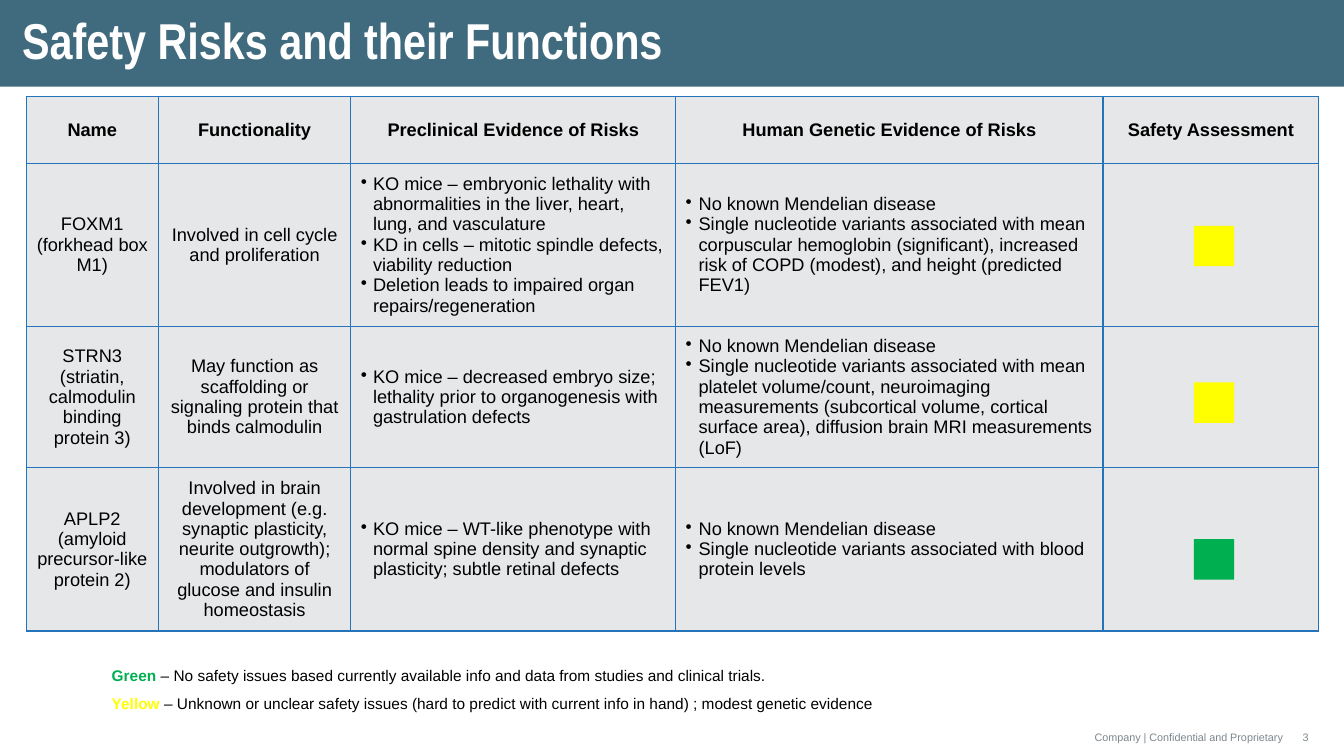
"""Build the slide on safety risks and their functions."""
import pptx
import pptx.dml.color
import pptx.enum.shapes
import pptx.enum.text
import pptx.oxml
import pptx.oxml.ns
import pptx.util
from pptx.util import Inches

TITLE = "Safety Risks and their Functions"
HEADERS = ["Name", "Functionality", "Preclinical Evidence of Risks",
           "Human Genetic Evidence of Risks", "Safety Assessment"]
RISKS = [
    (["FOXM1", "(forkhead box M1)"],
     ["Involved in cell cycle and proliferation"],
     ["KO mice – embryonic lethality with abnormalities in the liver, heart, lung, and vasculature",
      "KD in cells – mitotic spindle defects, viability reduction",
      "Deletion leads to impaired organ repairs/regeneration"],
     ["No known Mendelian disease",
      "Single nucleotide variants associated with mean corpuscular hemoglobin (significant), "
      "increased risk of COPD (modest), and height (predicted FEV1)"]),
    (["STRN3", "(striatin, calmodulin binding protein 3)"],
     ["May function as scaffolding or signaling protein that binds calmodulin"],
     ["KO mice – decreased embryo size; lethality prior to organogenesis with gastrulation defects"],
     ["No known Mendelian disease",
      "Single nucleotide variants associated with mean platelet volume/count, neuroimaging "
      "measurements (subcortical volume, cortical surface area), diffusion brain MRI "
      "measurements (LoF)"]),
    (["APLP2", "(amyloid precursor-like protein 2)"],
     ["Involved in brain development (e.g. synaptic plasticity, neurite outgrowth); "
      "modulators of glucose and insulin homeostasis"],
     ["KO mice – WT-like phenotype with normal spine density and synaptic plasticity; "
      "subtle retinal defects"],
     ["No known Mendelian disease",
      "Single nucleotide variants associated with blood protein levels"]),
]
GREEN, YELLOW, BLACK, WHITE = "00B050", "FFFF00", "000000", "FFFFFF"
BAR, CELL, BORDER, GREY = "013952", "E5E7E8", "2573BA", "7C878E"
RATINGS = [YELLOW, YELLOW, GREEN]
LEGEND = [
    ("Green ", GREEN,
     "– No safety issues based currently available info and data from studies and clinical trials."),
    ("Yellow ", YELLOW,
     "– Unknown or unclear safety issues (hard to predict with current info in hand) ; "
     "modest genetic evidence"),
]
FOOTERS = [("Company | Confidential and Proprietary", 8.6, 4.22, "RIGHT"),
           ("3", 12.82, 0.51, "LEFT")]
COLUMN_WIDTHS = [1.31, 1.91, 3.22, 4.24, 2.14]
ROW_HEIGHTS = [0.66, 1.51, 1.37, 1.51]
BULLET_INDENTS = {2: 0.12, 3: 0.13}
MARKER_TOP, MARKER_STEP, MARKER_SIZE = 2.24, 1.555, 0.4
ALIGN = pptx.enum.text.PP_ALIGN
ANCHOR = pptx.enum.text.MSO_ANCHOR


def color(value):
    return pptx.dml.color.RGBColor.from_string(value)


def add_span(para, text, size, hue, bold=False, face="Arial"):
    span = para.add_run()
    span.text = text
    span.font.size = pptx.util.Pt(size)
    span.font.name = face
    span.font.bold = bold
    span.font.color.rgb = color(hue)
    return span


def paragraphs(frame, count):
    return [frame.paragraphs[0]] + [frame.add_paragraph() for _ in range(count - 1)]


def set_bullet(para, indent):
    settings = para._p.get_or_add_pPr()
    settings.set("marL", str(Inches(indent)))
    settings.set("indent", str(-Inches(indent)))
    settings.append(pptx.oxml.parse_xml(
        f'<a:buChar {pptx.oxml.ns.nsdecls("a")} char="•"/>'))


def set_borders(cell):
    settings = cell._tc.get_or_add_tcPr()
    for position, side in enumerate(("lnL", "lnR", "lnT", "lnB")):
        settings.insert(position, pptx.oxml.parse_xml(
            f'<a:{side} {pptx.oxml.ns.nsdecls("a")} w="12700"><a:solidFill>'
            f'<a:srgbClr val="{BORDER}"/></a:solidFill></a:{side}>'))


def fill_cell(cell, lines, bold, indent):
    cell.fill.solid()
    cell.fill.fore_color.rgb = color(CELL)
    cell.vertical_anchor = ANCHOR.MIDDLE
    set_borders(cell)
    for para, line in zip(paragraphs(cell.text_frame, len(lines)), lines):
        add_span(para, line, 13, BLACK, bold)
        if indent:
            set_bullet(para, indent)
        else:
            para.alignment = ALIGN.CENTER


def add_title(page):
    title = page.shapes.title
    title.left, title.top, title.width, title.height = 0, 0, Inches(13.33), Inches(0.86)
    title.fill.solid()
    title.fill.fore_color.rgb = color(BAR)
    shade = title._element.spPr.find(".//" + pptx.oxml.ns.qn("a:srgbClr"))
    shade.append(pptx.oxml.parse_xml(f'<a:alpha {pptx.oxml.ns.nsdecls("a")} val="75000"/>'))
    frame = title.text_frame
    frame.auto_size = pptx.enum.text.MSO_AUTO_SIZE.NONE
    frame.vertical_anchor = ANCHOR.MIDDLE
    frame.margin_left = frame.margin_top = frame.margin_bottom = Inches(0.05)
    para = frame.paragraphs[0]
    para.alignment = ALIGN.LEFT
    para.line_spacing = 0.9
    para._p.get_or_add_pPr().set("marL", str(Inches(0.17)))
    add_span(para, TITLE, 36, WHITE, True, "Arial Narrow")


def add_risk_table(page):
    table = page.shapes.add_table(
        len(ROW_HEIGHTS), len(COLUMN_WIDTHS), Inches(0.26), Inches(0.96),
        Inches(sum(COLUMN_WIDTHS)), Inches(sum(ROW_HEIGHTS))).table
    for column, width in zip(table.columns, COLUMN_WIDTHS):
        column.width = Inches(width)
    for row, height in zip(table.rows, ROW_HEIGHTS):
        row.height = Inches(height)
    rows = [[[header] for header in HEADERS]] + [[*risk, []] for risk in RISKS]
    for r, row in enumerate(rows):
        for c, lines in enumerate(row):
            indent = BULLET_INDENTS.get(c) if r else None
            fill_cell(table.cell(r, c), lines, r == 0, indent)


def add_markers(page):
    for index, rating in enumerate(RATINGS):
        marker = page.shapes.add_shape(
            pptx.enum.shapes.MSO_SHAPE.RECTANGLE, Inches(11.84),
            Inches(MARKER_TOP + index * MARKER_STEP), Inches(MARKER_SIZE), Inches(MARKER_SIZE))
        marker.shadow.inherit = False
        marker.fill.solid()
        marker.fill.fore_color.rgb = color(rating)
        marker.line.fill.background()


def add_box(page, left, top, width, height):
    frame = page.shapes.add_textbox(
        Inches(left), Inches(top), Inches(width), Inches(height)).text_frame
    frame.word_wrap = True
    return frame


def add_legend(page):
    frame = add_box(page, 1.01, 6.47, 11.99, 0.62)
    for para, (name, hue, meaning) in zip(paragraphs(frame, len(LEGEND)), LEGEND):
        para.line_spacing = 1.5
        add_span(para, name, 11, hue, True)
        add_span(para, meaning, 11, BLACK)


def add_footers(page):
    for text, left, width, alignment in FOOTERS:
        frame = add_box(page, left, 7.1, width, 0.4)
        frame.vertical_anchor = ANCHOR.BOTTOM
        para = frame.paragraphs[0]
        para.alignment = ALIGN[alignment]
        span = add_span(para, text, 13.3, GREY)
        span.font._element.set("baseline", "30000")


def main():
    deck = pptx.Presentation()
    deck.slide_width, deck.slide_height = Inches(13.33), Inches(7.5)
    page = deck.slides.add_slide(deck.slide_layouts[5])
    add_footers(page)
    add_title(page)
    add_risk_table(page)
    add_markers(page)
    add_legend(page)
    deck.save("out.pptx")


if __name__ == "__main__":
    main()
